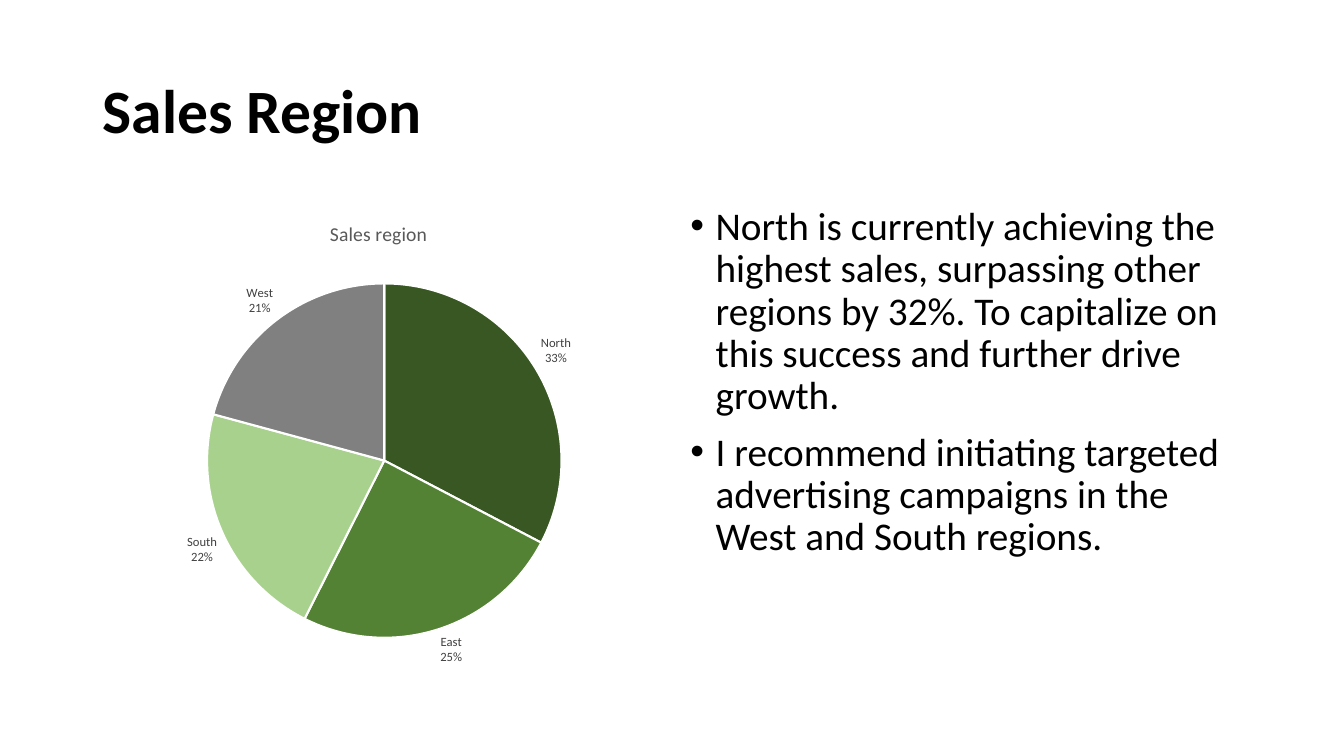
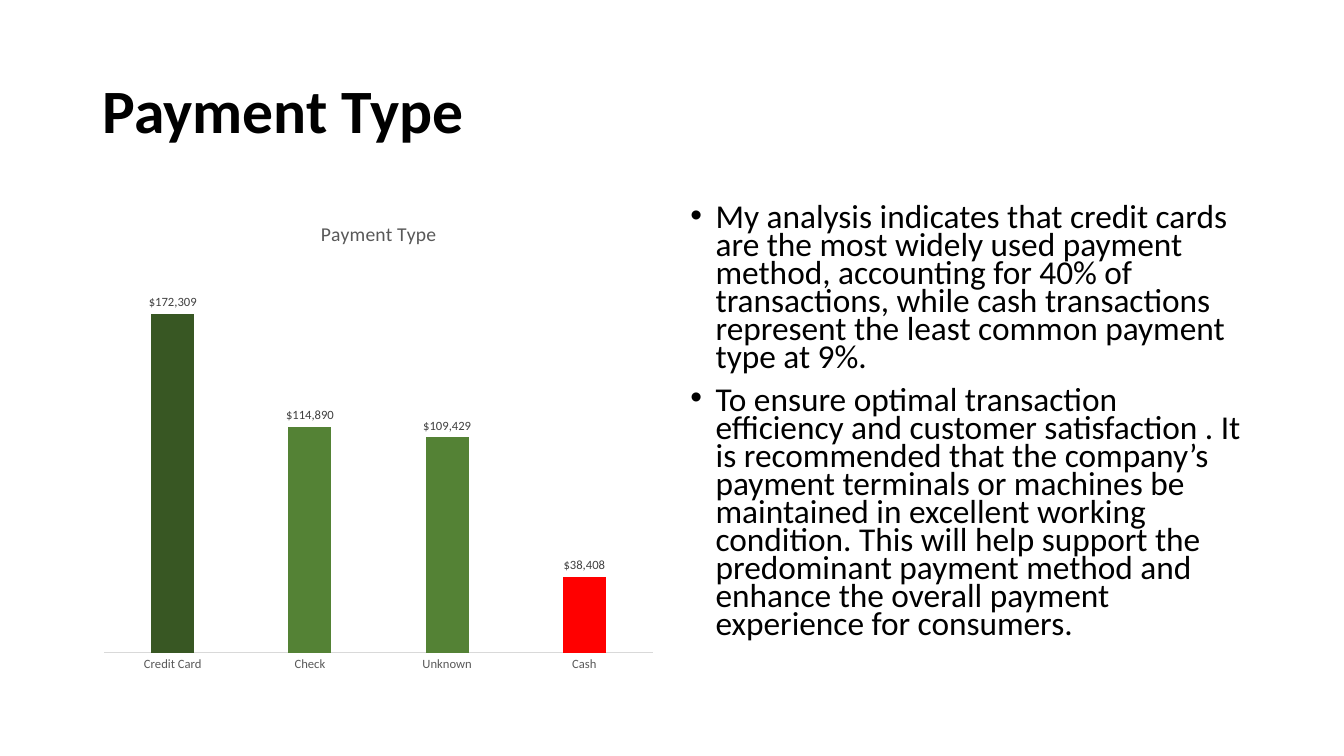
"""Build two sales slides, each with a title, a chart and bullet points."""
from lxml import etree
from pptx import Presentation, util as u
from pptx.chart.data import CategoryChartData
from pptx.dml.color import RGBColor
from pptx.enum import chart as ch, text
from pptx.oxml import parse_xml
from pptx.oxml.ns import nsdecls, qn

THEME = {
    "font": "Calibri", "black": "000000", "white": "FFFFFF", "grey": "595959",
    "label": "404040", "rule": "D9D9D9", "dark": "385723", "green": "548235",
    "light": "A9D18E", "mid": "808080", "red": "FF0000",
    "title": 44, "head": 14, "small": 9,
}

SLIDES = [
    {"title": "Sales Region", "head": "Sales region", "kind": ch.XL_CHART_TYPE.PIE,
     "cats": ["North", "East", "South", "West"], "vals": [33, 25, 22, 21],
     "fills": ["dark", "green", "light", "mid"], "area": (0.2, 0.17, 0.62, 0.74),
     "labels": {"show_percentage": True, "show_category_name": True,
                "show_value": False, "number_format": "0%"},
     "size": 28, "lead": 0.9,
     "points": [
         "North is currently achieving the highest sales, surpassing other regions by 32%. "
         "To capitalize on this success and further drive growth.",
         "I recommend initiating targeted advertising campaigns in the West and South regions."]},
    {"title": "Payment Type", "head": "Payment Type",
     "kind": ch.XL_CHART_TYPE.COLUMN_CLUSTERED,
     "cats": ["Credit Card", "Check", "Unknown", "Cash"],
     "vals": [172309, 114890, 109429, 38408],
     "fills": ["dark", "green", "green", "red"], "area": (0.02, 0.12, 0.96, 0.82),
     "labels": {"show_value": True, "number_format": '"$"#,##0'},
     "size": 23.8, "lead": 0.7,
     "points": [
         "My analysis indicates that credit cards are the most widely used payment method, "
         "accounting for 40% of transactions, while cash transactions represent the least "
         "common payment type at 9%.",
         "To ensure optimal transaction efficiency and customer satisfaction . It is "
         "recommended that the company’s payment terminals or machines be maintained in "
         "excellent working condition. This will help support the predominant payment method "
         "and enhance the overall payment experience for consumers."]},
]


def style(font, size, color, bold=False):
    """Set the face, size, weight and colour of a font."""
    for name, value in {"name": THEME["font"], "size": u.Pt(size), "bold": bold}.items():
        setattr(font, name, value)
    font.color.rgb = RGBColor.from_string(THEME[color])


def write(slide, box, lines, size, lead, bold=False, bullet=False):
    """Add a text box with one paragraph for each line."""
    frame = slide.shapes.add_textbox(*map(u.Inches, box)).text_frame
    frame.word_wrap = True
    frame.vertical_anchor = text.MSO_ANCHOR.TOP if bullet else text.MSO_ANCHOR.MIDDLE
    for num, line in enumerate(lines):
        para = frame.add_paragraph() if num else frame.paragraphs[0]
        para.line_spacing = lead
        run = para.add_run()
        run.text = line
        style(run.font, size, "black", bold)
        if bullet:
            para.space_before = u.Pt(10)
            props = para._p.get_or_add_pPr()
            props.set("marL", str(u.Inches(0.25)))
            props.set("indent", str(-u.Inches(0.25)))
            etree.SubElement(props, qn("a:buFont")).set("typeface", "Arial")
            etree.SubElement(props, qn("a:buChar")).set("char", "•")


deck = Presentation()
deck.slide_width, deck.slide_height = u.Inches(13.33), u.Inches(7.5)

for page in SLIDES:
    slide = deck.slides.add_slide(deck.slide_layouts[6])
    write(slide, (0.92, 0.4, 11.5, 1.45), [page["title"]], THEME["title"], 0.9, bold=True)
    write(slide, (6.75, 2, 5.67, 4.76), page["points"], page["size"], page["lead"], bullet=True)

    data = CategoryChartData()
    data.categories = page["cats"]
    data.add_series("Series 1", page["vals"])
    box = map(u.Inches, (0.92, 2, 5.67, 4.76))
    chart = slide.shapes.add_chart(page["kind"], *box, data).chart
    style(chart.font, 10, "black")
    chart.has_legend = False
    chart.has_title = True
    head = chart.chart_title.text_frame
    head.text = page["head"]
    style(head.paragraphs[0].runs[0].font, THEME["head"], "grey")

    pie = page["kind"] == ch.XL_CHART_TYPE.PIE
    plot = chart.plots[0]
    plot.vary_by_categories = pie
    series = plot.series[0]
    for num, fill in enumerate(page["fills"]):
        form = series.points[num].format
        form.fill.solid()
        form.fill.fore_color.rgb = RGBColor.from_string(THEME[fill])
        if pie:
            form.line.color.rgb = RGBColor.from_string(THEME["white"])
            form.line.width = u.Pt(1.5)

    labels = series.data_labels
    for name, value in page["labels"].items():
        setattr(labels, name, value)
    labels.number_format_is_linked = False
    labels.position = ch.XL_LABEL_POSITION.OUTSIDE_END
    style(labels.font, THEME["small"], "label")

    if pie:
        split = etree.Element(qn("c:separator"))
        split.text = "\n"
        labels._element.find(qn("c:showBubbleSize")).addnext(split)
    else:
        plot.gap_width, plot.overlap = 219, -27
        axis = chart.value_axis
        for name, value in {"visible": False, "has_major_gridlines": False,
                            "minimum_scale": 0, "maximum_scale": 200000}.items():
            setattr(axis, name, value)
        axis = chart.category_axis
        axis.major_tick_mark = ch.XL_TICK_MARK.NONE
        style(axis.tick_labels.font, THEME["small"], "grey")
        axis.format.line.color.rgb = RGBColor.from_string(THEME["rule"])
        axis.format.line.width = u.Pt(0.75)

    area = chart._chartSpace.chart.plotArea
    for old in area.findall(qn("c:layout")):
        area.remove(old)
    parts = '<c:layoutTarget val="inner"/><c:xMode val="edge"/><c:yMode val="edge"/>'
    parts += "".join(f'<c:{key} val="{val}"/>' for key, val in zip("xywh", page["area"]))
    area.insert(0, parse_xml(
        f'<c:layout {nsdecls("c")}><c:manualLayout>{parts}</c:manualLayout></c:layout>'))

deck.save("out.pptx")
